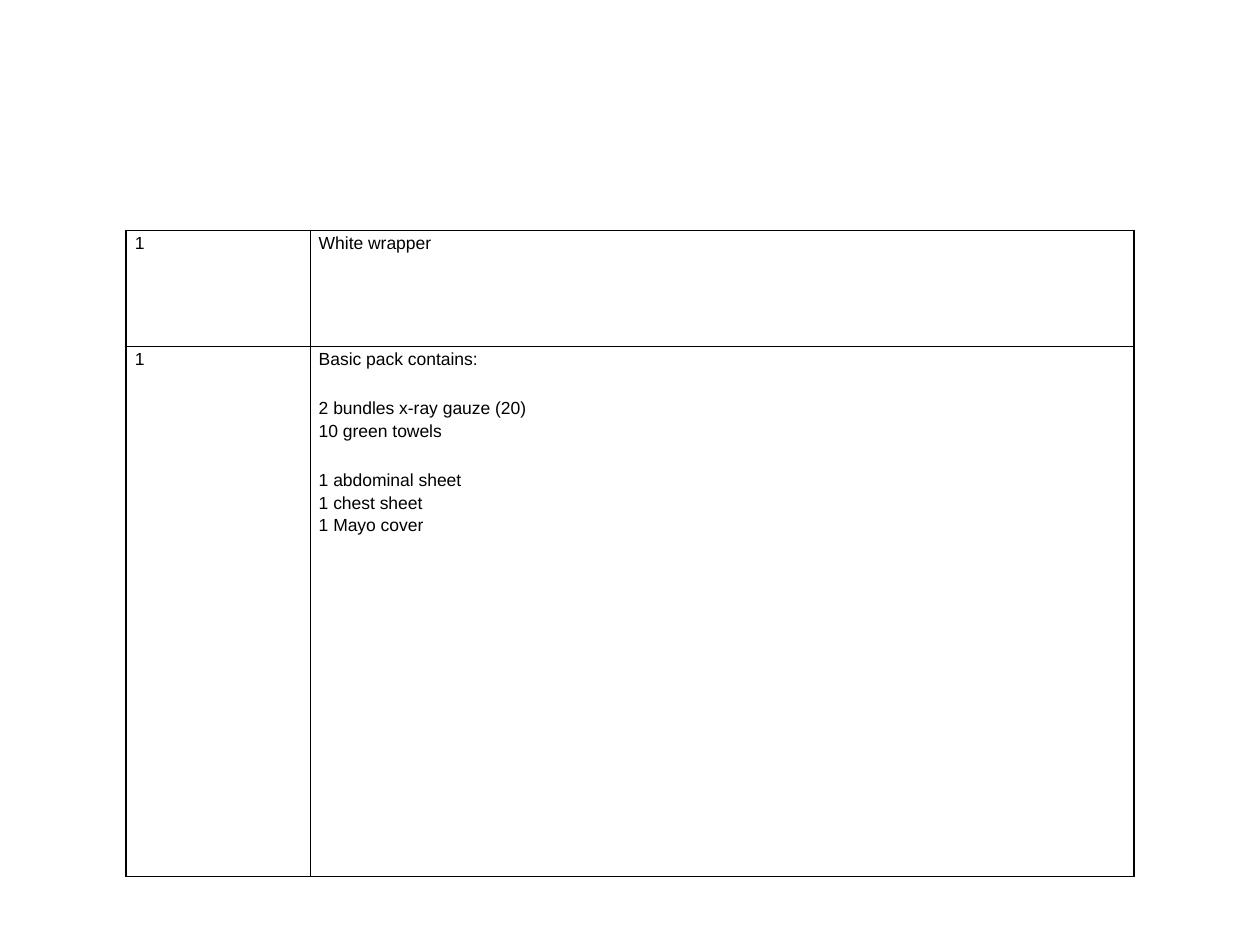
"""Build a slide with a table of surgical pack contents."""
from lxml import etree
from pptx import Presentation
from pptx.dml.color import RGBColor
from pptx.enum.text import PP_ALIGN
from pptx.oxml.ns import qn
from pptx.util import Inches, Pt

JUSTIFY = PP_ALIGN.JUSTIFY
COLORS = {"text": "000000", "border": "000000"}
COLUMN_WIDTHS = [1.46, 6.54]
ROW_HEIGHTS = [0.92, 4.21]
OUTER, INNER = Pt(1), Pt(0.5)
GROUP_GAP = 15.5
PACK_ROWS = [
    ("1", [["White wrapper"]]),
    ("1", [
        ["Basic pack contains:"],
        ["2 bundles x-ray gauze (20)", "10 green towels"],
        ["1 abdominal sheet", "1 chest sheet", "1 Mayo cover"],
    ]),
]


def add_text(paragraph, text, size=10, font="Arial", color="text", space_before=0):
    paragraph.alignment = JUSTIFY
    paragraph.line_spacing = 1.15
    paragraph.space_before = Pt(space_before)
    run = paragraph.add_run()
    run.text = text
    run.font.size = Pt(size)
    run.font.name = font
    run.font.color.rgb = RGBColor.from_string(COLORS[color])


def add_borders(cell, widths):
    properties = cell._tc.get_or_add_tcPr()
    for side, width in widths.items():
        line = etree.SubElement(properties, qn(f"a:ln{side}"), w=str(width))
        fill = etree.SubElement(line, qn("a:solidFill"))
        etree.SubElement(fill, qn("a:srgbClr"), val=COLORS["border"])


presentation = Presentation()
presentation.slide_width = Inches(10)
presentation.slide_height = Inches(7.5)
slide = presentation.slides.add_slide(presentation.slide_layouts[6])

table = slide.shapes.add_table(
    len(ROW_HEIGHTS), len(COLUMN_WIDTHS), Inches(1), Inches(1.83),
    Inches(sum(COLUMN_WIDTHS)), Inches(sum(ROW_HEIGHTS))).table
table.first_row = False
table.horz_banding = False
for column, width in zip(table.columns, COLUMN_WIDTHS):
    column.width = Inches(width)

for row_index, (quantity, groups) in enumerate(PACK_ROWS):
    table.rows[row_index].height = Inches(ROW_HEIGHTS[row_index])
    for column_index, cell_groups in enumerate([[[quantity]], groups]):
        cell = table.cell(row_index, column_index)
        cell.margin_left = cell.margin_right = Inches(0.07)
        cell.margin_top = cell.margin_bottom = 0
        add_borders(cell, {
            "L": OUTER if column_index == 0 else INNER,
            "R": OUTER if column_index == 1 else INNER,
            "T": OUTER if row_index == 0 else INNER,
            "B": INNER,
        })
        cell.fill.background()
        for group_index, group in enumerate(cell_groups):
            for line_index, text in enumerate(group):
                starts_cell = group_index == line_index == 0
                frame = cell.text_frame
                paragraph = frame.paragraphs[0] if starts_cell else frame.add_paragraph()
                starts_group = group_index > 0 and line_index == 0
                add_text(paragraph, text, space_before=GROUP_GAP if starts_group else 0)

presentation.save("out.pptx")
